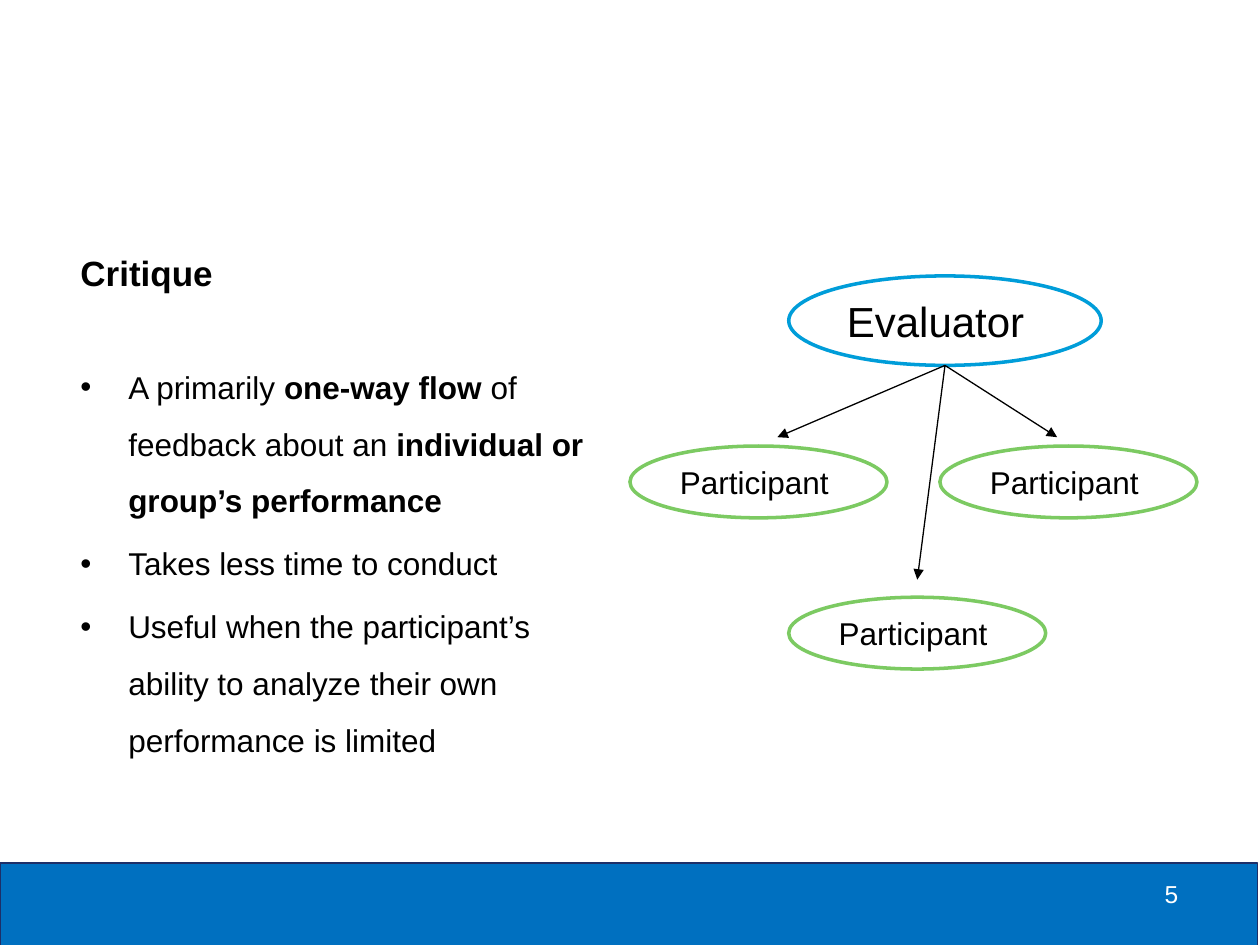
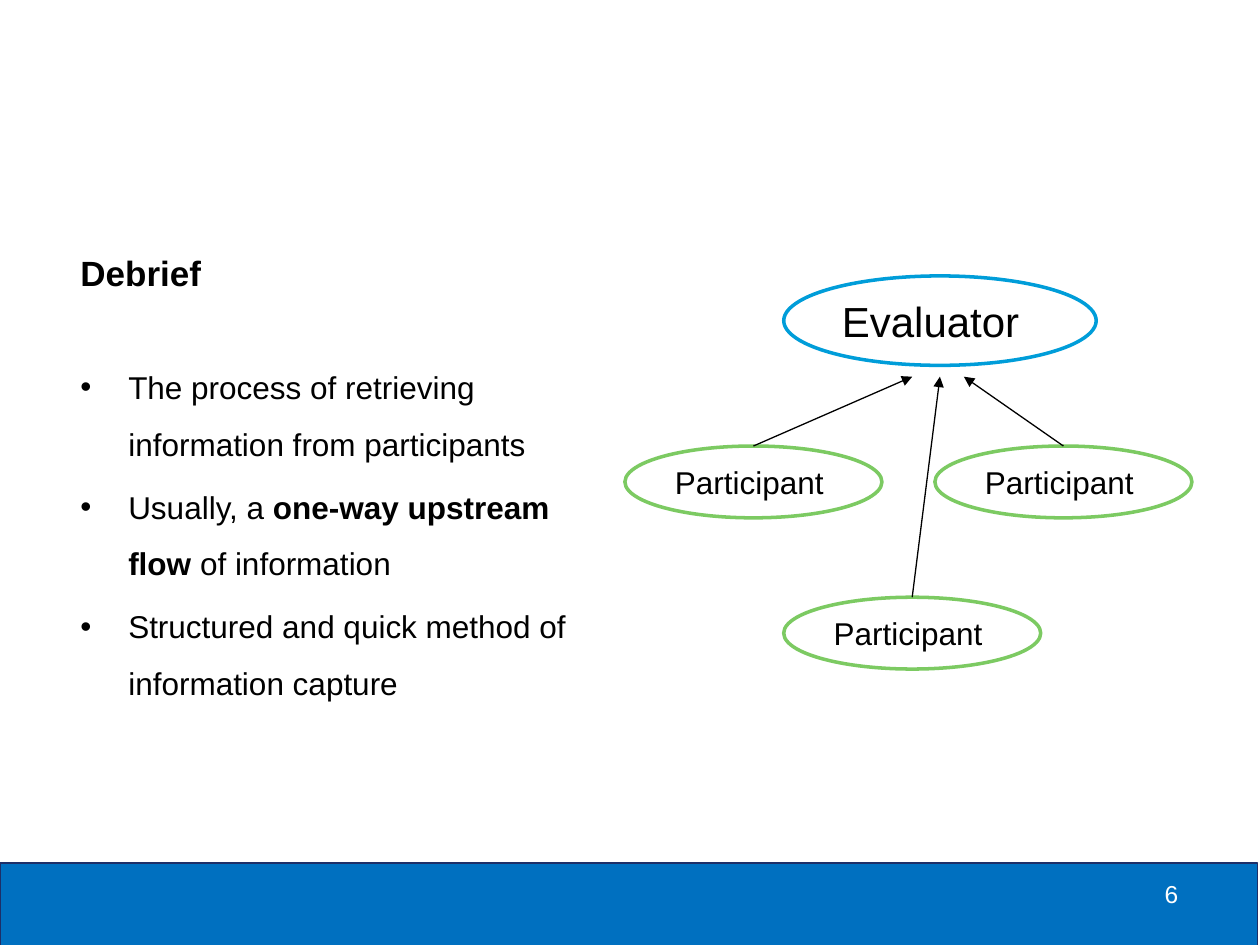
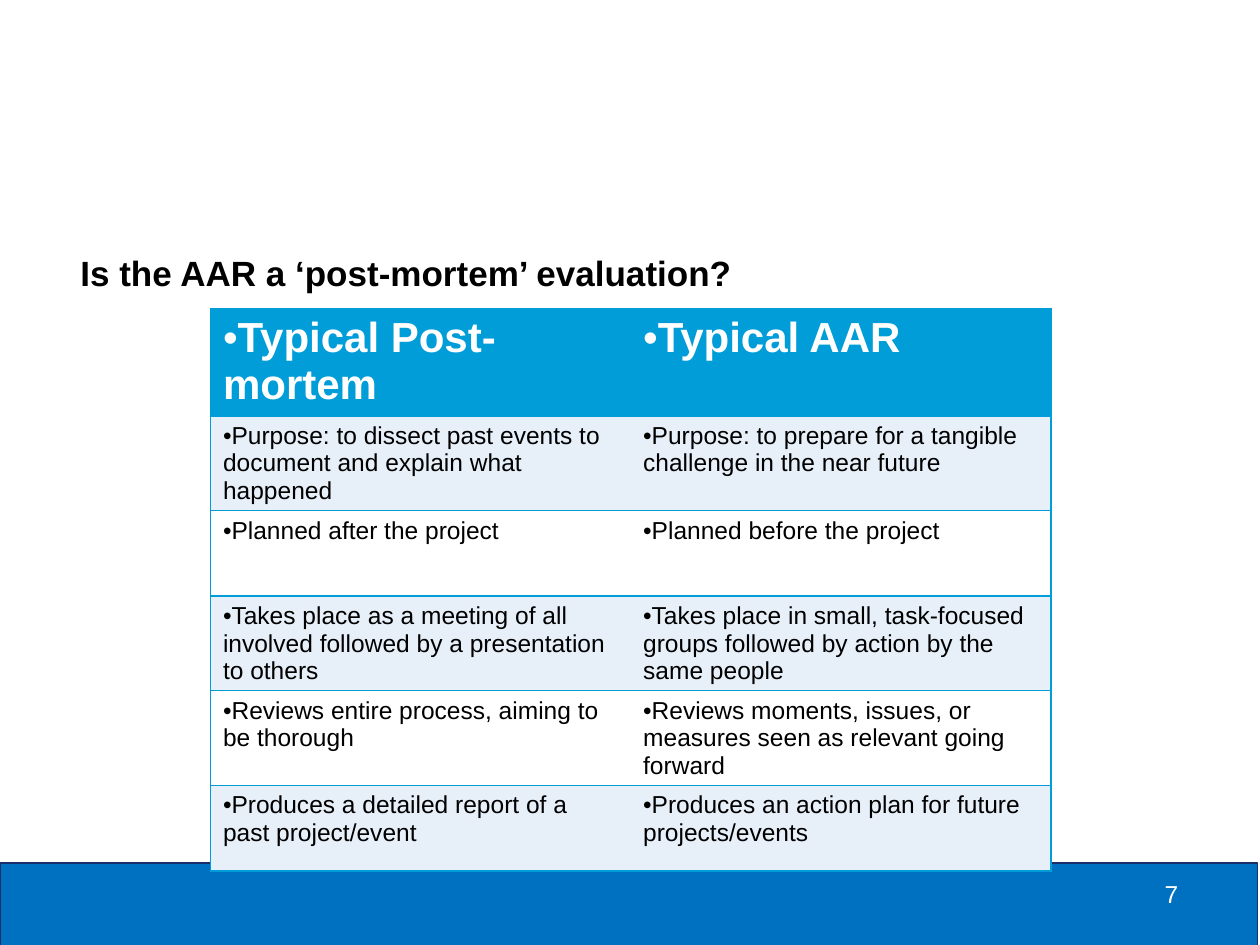
from lxml import etree
from pptx import Presentation
from pptx.dml.color import RGBColor
from pptx.enum import shapes, text
from pptx.oxml import ns
from pptx.util import Inches, Pt

BLACK, WHITE = "000000", "FFFFFF"
BAND, BAND_LINE = "0070C0", "1D2F68"
BLUE, GREEN, PALE = "009DD9", "7CCA62", "E7EFF8"
FONT = "Arial"
BAND_BOX = (0, 6.85, 9.98, 0.67)
NUMBER_BOX = (8.25, 6.93, 1.2, 0.5)
FIRST_NUMBER = 5

# Asterisks enclose the bold parts of a bullet.
# Each arrow runs from its first point to its second.
SLIDES = [
    {
        "heading": "Critique",
        "bullets": [
            "A primarily *one-way flow* of feedback about an "
            "*individual or group’s performance*",
            "Takes less time to conduct",
            "Useful when the participant’s ability to analyze their own "
            "performance is limited",
        ],
        "left": 5,
        "arrows": [((7.5, 2.9), (6.17, 3.47)),
                   ((7.5, 2.9), (7.28, 4.6)),
                   ((7.5, 2.9), (8.39, 3.47))],
    },
    {
        "heading": "Debrief",
        "bullets": [
            "The process of retrieving information from participants",
            "Usually, a *one-way upstream flow* of information",
            "Structured and quick method of information capture",
        ],
        "left": 4.96,
        "arrows": [((5.98, 3.54), (7.24, 2.99)),
                   ((7.24, 4.74), (7.46, 2.99)),
                   ((8.44, 3.54), (7.65, 2.99))],
    },
    {
        "heading": "Is the AAR a ‘post-mortem’ evaluation?",
        "rows": [
            ("Typical Post-mortem", "Typical AAR"),
            ("Purpose: to dissect past events to document and explain what happened",
             "Purpose: to prepare for a tangible challenge in the near future"),
            ("Planned after the project", "Planned before the project"),
            ("Takes place as a meeting of all involved followed by a "
             "presentation to others",
             "Takes place in small, task-focused groups followed by action "
             "by the same people"),
            ("Reviews entire process, aiming to be thorough",
             "Reviews moments, issues, or measures seen as relevant going forward"),
            ("Produces a detailed report of a past project/event",
             "Produces an action plan for future projects/events"),
        ],
    },
]

# Text, offset from the diagram's left, top, width, height, line colour, size
OVALS = [
    ("Evaluator", 1.26, 2.19, 2.48, 0.71, BLUE, 24),
    ("Participant", 0, 3.54, 2.04, 0.57, GREEN, 18),
    ("Participant", 1.26, 4.74, 2.04, 0.57, GREEN, 18),
    ("Participant", 2.46, 3.54, 2.04, 0.57, GREEN, 18),
]


def rgb(value):
    return RGBColor.from_string(value)


def format_paragraph(p, size, color=BLACK, bold=False, bullet=False, indent=0):
    """Format every run of p, with a hanging bullet if wanted."""
    for r in p.runs:
        r.font.name, r.font.size = FONT, Pt(size)
        r.font.color.rgb, r.font.bold = rgb(color), bold
    if bullet:
        pPr = p._p.get_or_add_pPr()
        pPr.set("marL", str(Inches(indent)))
        pPr.set("indent", str(-Inches(indent)))
        etree.SubElement(pPr, ns.qn("a:buFont"), typeface=FONT)
        etree.SubElement(pPr, ns.qn("a:buChar"), char="•")


prs = Presentation()
prs.slide_width, prs.slide_height = Inches(10), Inches(7.5)

for number, content in enumerate(SLIDES, FIRST_NUMBER):
    s = prs.slides.add_slide(prs.slide_layouts[6])

    # Footer band and slide number
    band = s.shapes.add_shape(shapes.MSO_SHAPE.RECTANGLE, *map(Inches, BAND_BOX))
    band.shadow.inherit = False
    band.fill.solid()
    band.fill.fore_color.rgb = rgb(BAND)
    band.line.color.rgb = rgb(BAND_LINE)
    band.line.width = Pt(0.75)
    tf = s.shapes.add_textbox(*map(Inches, NUMBER_BOX)).text_frame
    tf.word_wrap = True
    p = tf.paragraphs[0]
    p.text = str(number)
    p.alignment = text.PP_ALIGN.RIGHT
    format_paragraph(p, 14, WHITE)

    # Heading and bullets
    body_width = 4.46 if "bullets" in content else 8.8
    tf = s.shapes.add_textbox(Inches(0.54), Inches(1.95),
                              Inches(body_width), Inches(4.58)).text_frame
    tf.word_wrap = True
    p = tf.paragraphs[0]
    p.text = content["heading"]
    p.space_before = Pt(2)
    format_paragraph(p, 20, bold=True)
    for i, bullet in enumerate(content.get("bullets", [])):
        p = tf.add_paragraph()
        p.line_spacing = 1.5
        p.space_before = Pt(3.6 if i else 31.5)
        for j, part in enumerate(bullet.split("*")):
            if part:
                r = p.add_run()
                r.text = part
        format_paragraph(p, 18, bullet=True, indent=0.38)
        for r in p.runs[1::2]:
            r.font.bold = True

    # Evaluator and participants
    if "arrows" in content:
        for label, offset, top, width, height, color, size in OVALS:
            sp = s.shapes.add_shape(
                shapes.MSO_SHAPE.OVAL, Inches(content["left"] + offset),
                Inches(top), Inches(width), Inches(height))
            sp.shadow.inherit = False
            sp.fill.solid()
            sp.fill.fore_color.rgb = rgb(WHITE)
            sp.line.color.rgb = rgb(color)
            sp.line.width = Pt(2)
            tf = sp.text_frame
            tf.vertical_anchor = text.MSO_ANCHOR.TOP
            p = tf.paragraphs[0]
            p.text = label
            p.alignment = text.PP_ALIGN.LEFT
            p.space_before = Pt(2)
            format_paragraph(p, size)
        for start, end in content["arrows"]:
            arrow = s.shapes.add_connector(
                shapes.MSO_CONNECTOR.STRAIGHT, *map(Inches, start + end))
            arrow.line.color.rgb = rgb(BLACK)
            arrow.line.width = Pt(0.75)
            etree.SubElement(arrow.line._ln, ns.qn("a:tailEnd"), type="triangle")
            etree.SubElement(arrow._element.spPr, ns.qn("a:effectLst"))

    # Comparison table
    if "rows" in content:
        rows = content["rows"]
        table = s.shapes.add_table(len(rows), 2, Inches(1.67), Inches(2.45),
                                   Inches(6.67), Inches(3.84)).table
        table.first_row = table.horz_banding = False
        for i, row in enumerate(rows):
            table.rows[i].height = Inches(0.68 if i else 0.44)
            for j, words in enumerate(row):
                cell = table.cell(i, j)
                cell.margin_bottom = 0
                p = cell.text_frame.paragraphs[0]
                p.text = words
                if i == 0:
                    fill = BLUE
                    format_paragraph(p, 24, WHITE, bold=True, bullet=True)
                else:
                    fill = PALE if i % 2 else WHITE
                    format_paragraph(p, 14, bullet=True)
                tcPr = cell._tc.get_or_add_tcPr()
                inner_side = "L" if j else "R"
                for side in "LRTB":
                    ln = etree.SubElement(tcPr, ns.qn("a:ln" + side), w=str(Pt(1)))
                    if side == inner_side:
                        etree.SubElement(ln, ns.qn("a:noFill"))
                    else:
                        solid = etree.SubElement(ln, ns.qn("a:solidFill"))
                        etree.SubElement(solid, ns.qn("a:srgbClr"), val=BLUE)
                cell.fill.solid()
                cell.fill.fore_color.rgb = rgb(fill)

prs.save("out.pptx")
